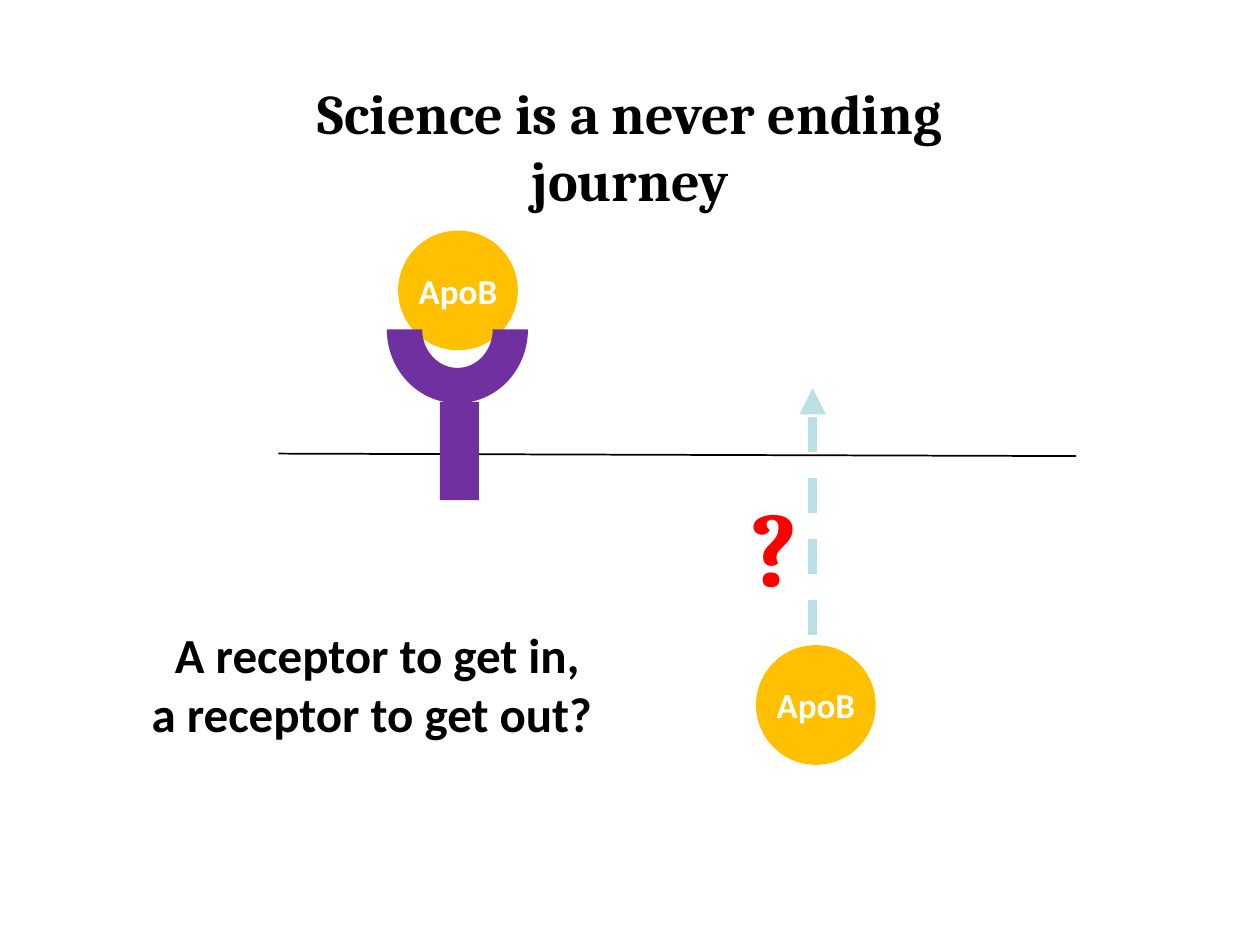
"""Build the slide on how ApoB gets into and out of the cell."""
from lxml.etree import SubElement
from pptx import Presentation
from pptx.dml.color import RGBColor
from pptx.enum.dml import MSO_LINE
from pptx.enum.shapes import MSO_CONNECTOR, MSO_SHAPE
from pptx.enum.text import MSO_ANCHOR, MSO_AUTO_SIZE, PP_ALIGN
from pptx.oxml.ns import qn
from pptx.util import Inches, Pt

COLORS = {
    "ink": "000000",
    "arrow": "BBE0E3",
    "question": "FF0000",
    "apob": "FFC000",
    "receptor": "7030A0",
    "label": "FFFFFF",
}


def write(frame, lines, align, color, **font_format):
    for number, line in enumerate(lines):
        paragraph = frame.paragraphs[0] if number == 0 else frame.add_paragraph()
        paragraph.alignment = align
        run = paragraph.add_run()
        run.text = line
        run.font.color.rgb = RGBColor.from_string(COLORS[color])
        for attribute, value in font_format.items():
            setattr(run.font, attribute, value)


def add_solid(shapes, kind, box, color):
    solid = shapes.add_shape(kind, *map(Inches, box))
    solid.shadow.inherit = False
    solid.fill.solid()
    solid.fill.fore_color.rgb = RGBColor.from_string(COLORS[color])
    solid.line.fill.background()
    return solid


presentation = Presentation()
presentation.slide_width = Inches(10)
presentation.slide_height = Inches(7.5)
slide = presentation.slides.add_slide(presentation.slide_layouts[6])
shapes = slide.shapes

strokes = []
for ends, color, width in [
    ((2.21, 3.6, 8.54, 3.62), "ink", 1),
    ((6.45, 5.04, 6.45, 3.08), "arrow", 5),
]:
    stroke = shapes.add_connector(MSO_CONNECTOR.STRAIGHT, *map(Inches, ends))
    stroke.line.color.rgb = RGBColor.from_string(COLORS[color])
    stroke.line.width = Pt(width)
    strokes.append(stroke)

membrane, exit_arrow = strokes
exit_arrow.line.dash_style = MSO_LINE.DASH
SubElement(exit_arrow.line._get_or_add_ln(), qn("a:tailEnd"), type="triangle")
for stroke in strokes:
    SubElement(stroke._element.spPr, qn("a:effectLst"))

for box, lines, wrap, align, color, size, font in [
    ((0.28, 4.91, 5.34, 1.04), [" A receptor to get in,", "a receptor to get out?"],
     True, PP_ALIGN.CENTER, "ink", 28, "Calibri"),
    ((5.86, 3.77, 0.59, 1.11), ["?"], False, PP_ALIGN.LEFT, "question", 60, "Cambria"),
    ((1.72, 0.57, 6.56, 0.81), ["Science is a never ending journey"],
     True, PP_ALIGN.CENTER, "ink", 32, "Cambria"),
]:
    frame = shapes.add_textbox(*map(Inches, box)).text_frame
    frame.word_wrap = wrap
    frame.auto_size = MSO_AUTO_SIZE.SHAPE_TO_FIT_TEXT
    write(frame, lines, align, color, size=Pt(size), name=font, bold=True)

particle_format = {
    "margin_left": 0,
    "margin_top": 0,
    "margin_right": 0,
    "margin_bottom": 0,
    "vertical_anchor": MSO_ANCHOR.MIDDLE,
    "word_wrap": True,
}
for left, top in [(3.16, 1.83), (6, 5.12)]:
    particle = add_solid(shapes, MSO_SHAPE.OVAL, (left, top, 0.95, 0.95), "apob")
    for attribute, value in particle_format.items():
        setattr(particle.text_frame, attribute, value)
    write(particle.text_frame, ["ApoB"], PP_ALIGN.CENTER, "label",
          size=Pt(20), name="Calibri", bold=True)

receptor = shapes.add_group_shape()
add_solid(receptor.shapes, MSO_SHAPE.RECTANGLE, (3.49, 3.19, 0.31, 0.78), "receptor")
cup = add_solid(receptor.shapes, MSO_SHAPE.BLOCK_ARC, (3.07, 2.03, 1.12, 1.17), "receptor")
cup.rotation = 180

presentation.save("out.pptx")
